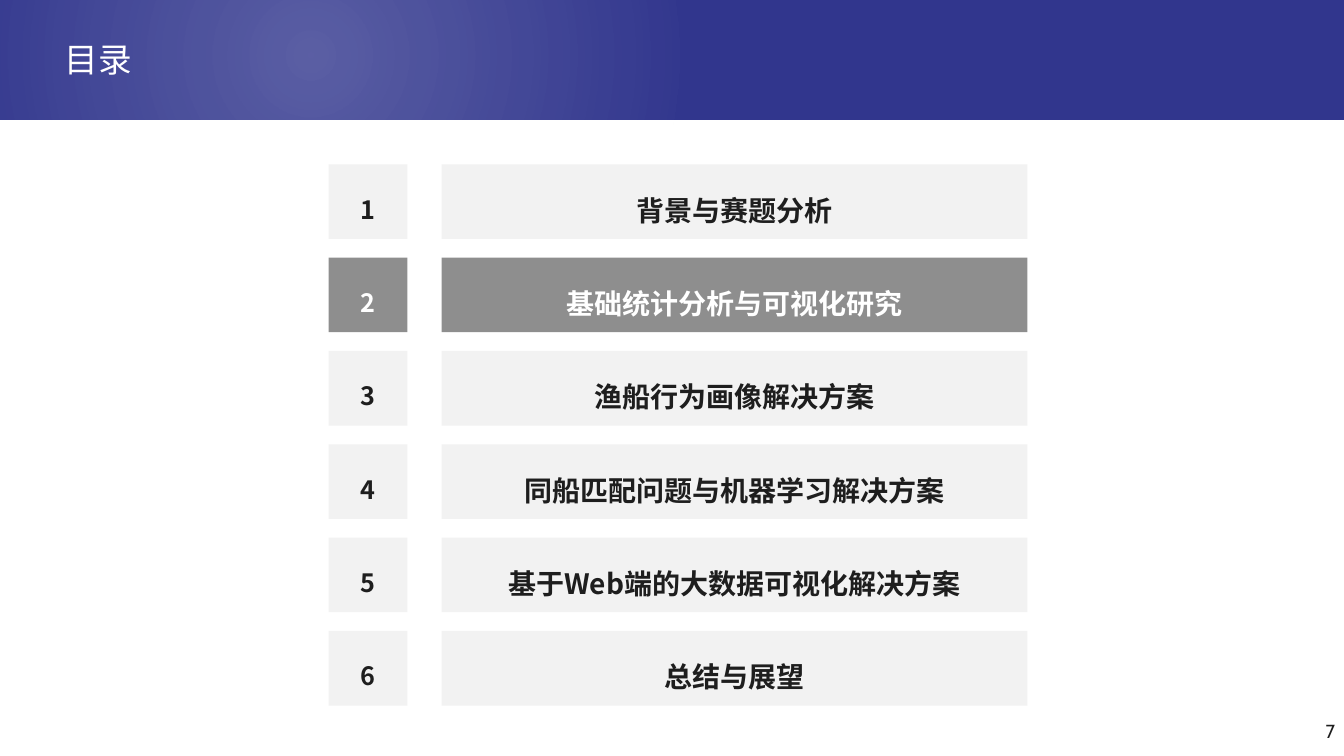
import pptx
import pptx.util
import pptx.oxml
import pptx.oxml.ns
import pptx.dml.color
import pptx.enum.shapes
import pptx.enum.text

WIDTH, HEIGHT = 13.33, 7.5
FIRST_ROW, LAST_ROW, ROW_HEIGHT = 1.63, 6.26, 0.74
NUMBER_COLUMN = (3.26, 0.78)
TOPIC_COLUMN = (4.38, 5.81)
CURRENT_TOPIC = 2
TOPICS = [
    "背景与赛题分析",
    "基础统计分析与可视化研究",
    "渔船行为画像解决方案",
    "同船匹配问题与机器学习解决方案",
    "基于Web端的大数据可视化解决方案",
    "总结与展望",
]
COLORS = {
    "band": "31368D",
    "white": "FFFFFF",
    "row": "F2F2F2",
    "current": "8E8E8E",
    "text": "1E1E1E",
}
CJK_FONT = "Noto Sans CJK SC"
ALIGN = pptx.enum.text.PP_ALIGN
ANCHOR = pptx.enum.text.MSO_ANCHOR


def inches(*lengths):
    return [pptx.util.Inches(length) for length in lengths]


def rgb(name):
    return pptx.dml.color.RGBColor.from_string(COLORS[name])


def write_text(frame, text, size, color="text", font=CJK_FONT, bold=False,
               align=ALIGN.CENTER, anchor=ANCHOR.MIDDLE, spacing=1.0, side_inset=0.1):
    frame.word_wrap = True
    frame.vertical_anchor = anchor
    frame.margin_left, frame.margin_right = inches(side_inset, side_inset)
    frame.margin_top, frame.margin_bottom = inches(0.05, 0.05)
    paragraph = frame.paragraphs[0]
    paragraph.alignment = align
    paragraph.line_spacing = spacing
    run = paragraph.add_run()
    run.text = text
    run.font.size = pptx.util.Pt(size)
    run.font.bold = bold
    run.font.name = font
    run.font.color.rgb = rgb(color)
    east_asian = pptx.oxml.parse_xml(
        f'<a:ea {pptx.oxml.ns.nsdecls("a")} typeface="{CJK_FONT}"/>')
    run.font._element.find(pptx.oxml.ns.qn("a:latin")).addnext(east_asian)


def add_panel(slide, left, top, width, height, color):
    panel = slide.shapes.add_shape(
        pptx.enum.shapes.MSO_SHAPE.RECTANGLE, *inches(left, top, width, height))
    panel.shadow.inherit = False
    panel.fill.solid()
    panel.fill.fore_color.rgb = rgb(color)
    panel.line.fill.background()
    return panel


def add_glow(slide, left, top, width, height):
    glow = add_panel(slide, left, top, width, height, "white")
    stops = "".join(
        f'<a:gs pos="{position}"><a:srgbClr val="{COLORS["white"]}">'
        f'<a:alpha val="{alpha}"/></a:srgbClr></a:gs>'
        for position, alpha in [(0, 20000), (66000, 0), (100000, 0)])
    gradient = pptx.oxml.parse_xml(
        f'<a:gradFill {pptx.oxml.ns.nsdecls("a")} rotWithShape="1">'
        f'<a:gsLst>{stops}</a:gsLst><a:path path="circle">'
        '<a:fillToRect l="50000" t="50000" r="50000" b="50000"/></a:path></a:gradFill>')
    solid = glow.element.spPr.find(pptx.oxml.ns.qn("a:solidFill"))
    solid.getparent().replace(solid, gradient)


def add_heading(slide, text):
    add_panel(slide, 0, 0, WIDTH, 1.19, "band")
    add_glow(slide, -2.47, -0.17, 11.1, 1.44)
    heading = slide.shapes.title
    heading.element.getparent().append(heading.element)
    heading.left, heading.top, heading.width, heading.height = inches(0.54, 0.38, 12.32, 0.46)
    write_text(heading.text_frame, text, 24, color="white", font="Arial",
               align=ALIGN.LEFT, spacing=0.9)


def add_topic_row(slide, number, topic):
    pitch = (LAST_ROW - FIRST_ROW) / (len(TOPICS) - 1)
    top = FIRST_ROW + (number - 1) * pitch
    current = number == CURRENT_TOPIC
    fill, ink = ("current", "white") if current else ("row", "text")
    cells = [(NUMBER_COLUMN, str(number), 18), (TOPIC_COLUMN, topic, 20)]
    for (left, width), text, size in cells:
        panel = add_panel(slide, left, top, width, ROW_HEIGHT, fill)
        write_text(panel.text_frame, text, size, color=ink, bold=True,
                   spacing=1.5, side_inset=0)


def add_page_number(slide, number):
    box = slide.shapes.add_textbox(*inches(11.27, 7.09, 2.07, 0.4))
    write_text(box.text_frame, str(number), 13.5, font="Cabin",
               align=ALIGN.RIGHT, anchor=ANCHOR.TOP)


def main():
    deck = pptx.Presentation()
    deck.slide_width, deck.slide_height = inches(WIDTH, HEIGHT)
    slide = deck.slides.add_slide(deck.slide_layouts.get_by_name("Title Only"))
    add_heading(slide, "目录")
    for number, topic in enumerate(TOPICS, start=1):
        add_topic_row(slide, number, topic)
    add_page_number(slide, 7)
    deck.save("out.pptx")


if __name__ == "__main__":
    main()
